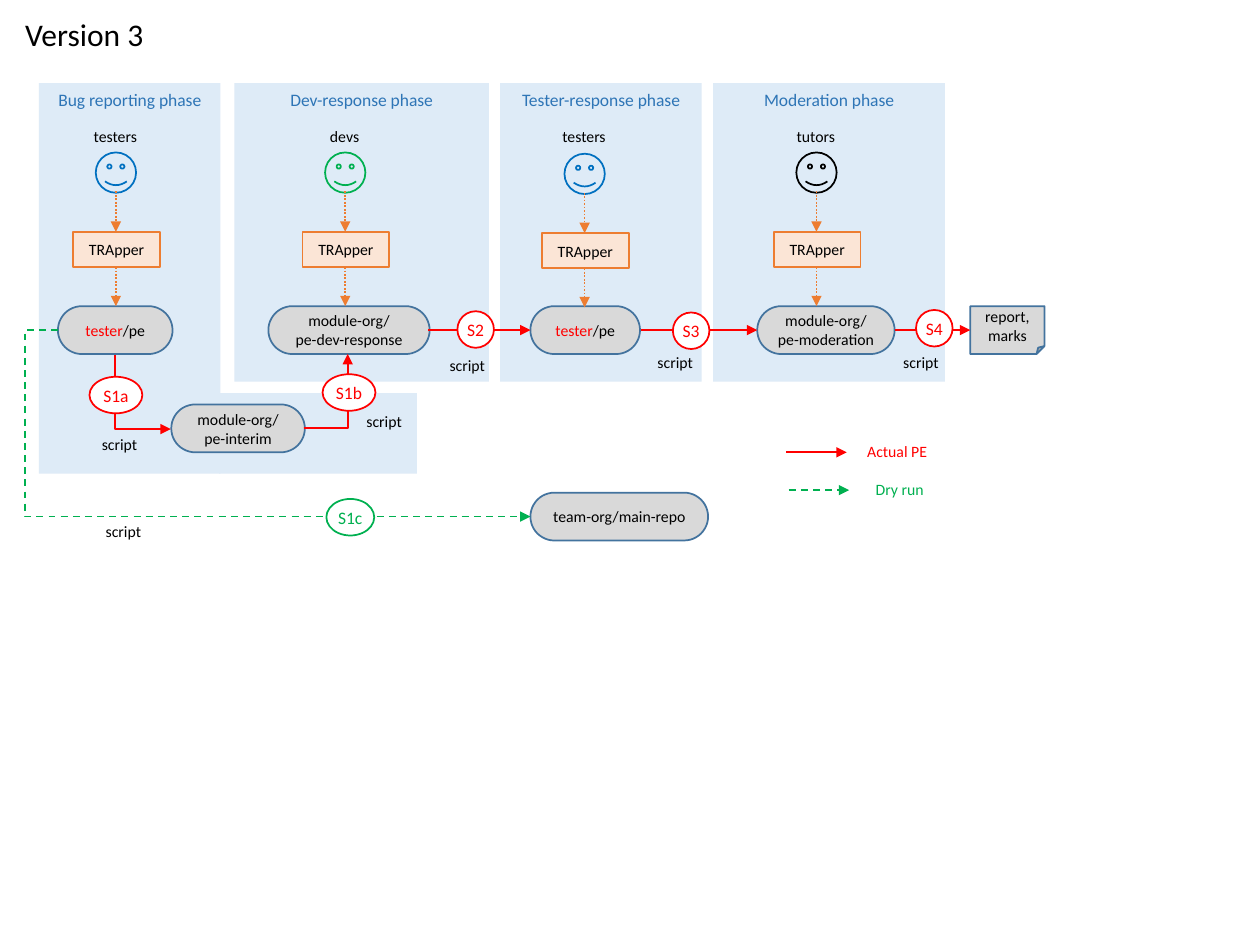
import pptx
import pptx.util
import pptx.dml.color
import pptx.enum.dml
import pptx.enum.shapes
import pptx.enum.text
import pptx.oxml.ns
from lxml import etree

Inches = pptx.util.Inches
RGBColor = pptx.dml.color.RGBColor
SHAPE = pptx.enum.shapes.MSO_SHAPE
CONNECTOR = pptx.enum.shapes.MSO_CONNECTOR
DASH = pptx.enum.dml.MSO_LINE
ALIGN = pptx.enum.text.PP_ALIGN
ANCHOR = pptx.enum.text.MSO_ANCHOR
qn = pptx.oxml.ns.qn

BLACK = RGBColor(0x00, 0x00, 0x00)
WHITE = RGBColor(0xFF, 0xFF, 0xFF)
RED = RGBColor(0xFF, 0x00, 0x00)
GREEN = RGBColor(0x00, 0xB0, 0x50)
BLUE = RGBColor(0x00, 0x70, 0xC0)
HEADING = RGBColor(0x2E, 0x75, 0xB6)
PANEL = RGBColor(0xDE, 0xEB, 0xF7)
GREY = RGBColor(0xD9, 0xD9, 0xD9)
STEEL = RGBColor(0x43, 0x73, 0x9E)
ORANGE = RGBColor(0xED, 0x7D, 0x31)
PEACH = RGBColor(0xFB, 0xE5, 0xD6)


class Diagram:
    font = "Calibri"
    size = 9
    line_width = pptx.util.Pt(1)

    def __init__(self, s):
        self.s = s

    def set_text(self, tf, text, color=BLACK, size=None, align=ALIGN.CENTER):
        tf.word_wrap = True
        p = tf.paragraphs[0]
        p.text = text
        p.alignment = align
        p.font.name = self.font
        p.font.size = pptx.util.Pt(size or self.size)
        p.font.color.rgb = color
        return p

    def title(self, text, x, y, w, h):
        sp = self.s.shapes.title
        sp.left, sp.top, sp.width, sp.height = map(Inches, (x, y, w, h))
        sp.text_frame.vertical_anchor = ANCHOR.TOP
        self.set_text(sp.text_frame, text, size=18, align=ALIGN.LEFT)

    def shape(self, kind, x, y, w, h, fill=None, line=None):
        sp = self.s.shapes.add_shape(kind, *map(Inches, (x, y, w, h)))
        sp.shadow.inherit = False
        if fill is None:
            sp.fill.background()
        else:
            sp.fill.solid()
            sp.fill.fore_color.rgb = fill
        if line is None:
            sp.line.fill.background()
        else:
            sp.line.color.rgb = line
            sp.line.width = self.line_width
        return sp

    def panel(self, x, y, w, h, text=""):
        sp = self.shape(SHAPE.RECTANGLE, x, y, w, h, PANEL)
        if text:
            sp.text_frame.vertical_anchor = ANCHOR.TOP
            self.set_text(sp.text_frame, text, HEADING, 10)

    def repo(self, x, y, w, text, lead=""):
        sp = self.shape(SHAPE.ROUNDED_RECTANGLE, x, y, w, 0.38, GREY, STEEL)
        sp.adjustments[0] = 0.5
        p = self.set_text(sp.text_frame, lead or text)
        if lead:
            p.runs[0].font.color.rgb = RED
            p.add_run().text = text

    def box(self, kind, x, y, w, h, text, fill, line):
        sp = self.shape(kind, x, y, w, h, fill, line)
        self.set_text(sp.text_frame, text)

    def step(self, x, y, w, text, color=RED):
        sp = self.shape(SHAPE.FLOWCHART_CONNECTOR, x, y, w, 0.29, WHITE, color)
        tf = sp.text_frame
        tf.margin_left = tf.margin_right = tf.margin_top = tf.margin_bottom = 0
        self.set_text(tf, text, color, 10)

    def label(self, x, y, w, text, color=BLACK, align=ALIGN.CENTER):
        tf = self.s.shapes.add_textbox(*map(Inches, (x, y, w, 0.25))).text_frame
        self.set_text(tf, text, color, align=align)
        tf.auto_size = pptx.enum.text.MSO_AUTO_SIZE.SHAPE_TO_FIT_TEXT

    def arrow(self, x1, y1, x2, y2, color=RED, dash=None, kind=CONNECTOR.STRAIGHT):
        cxn = self.s.shapes.add_connector(kind, *map(Inches, (x1, y1, x2, y2)))
        cxn.line.color.rgb = color
        cxn.line.width = self.line_width
        if dash:
            cxn.line.dash_style = dash
        etree.SubElement(cxn.get_or_add_ln(), qn("a:tailEnd"), type="triangle")
        etree.SubElement(cxn._element.spPr, qn("a:effectLst"))
        return cxn

    def corner(self, x1, y1, x2, y2, rotation=0):
        spPr = self.arrow(x1, y1, x2, y2, kind=CONNECTOR.ELBOW)._element.spPr
        spPr.find(qn("a:prstGeom")).set("prst", "bentConnector2")
        spPr.find(qn("a:xfrm")).set("rot", str(rotation * 60000))

    def detour(self, x1, y1, x2, y2, ratio, color, dash):
        cxn = self.arrow(x1, y1, x2, y2, color, dash, CONNECTOR.ELBOW)
        geom = cxn._element.spPr.find(qn("a:prstGeom"))
        guides = geom.find(qn("a:avLst"))
        if guides is None:
            guides = etree.SubElement(geom, qn("a:avLst"))
        etree.SubElement(guides, qn("a:gd"), name="adj1",
                         fmla=f"val {round(ratio * 100000)}")

    def user(self, cx, role, color, dy=0):
        self.label(cx - 0.38, 0.96, 0.75, role)
        self.shape(SHAPE.SMILEY_FACE, cx - 0.16, 1.21 + dy, 0.32, 0.32, None, color)
        self.box(SHAPE.RECTANGLE, cx - 0.34, 1.84 + dy, 0.69, 0.28,
                 "TRApper", PEACH, ORANGE)
        for top, bottom in ((1.52, 1.84), (2.12, 2.43)):
            self.arrow(cx, top + dy, cx, bottom + dy, ORANGE, DASH.ROUND_DOT)


def main():
    prs = pptx.Presentation()
    prs.slide_width, prs.slide_height = Inches(10), Inches(7.5)
    d = Diagram(prs.slides.add_slide(prs.slide_layouts[5]))
    d.title("Version 3", 0.1, 0.07, 1.51, 0.4)

    d.panel(1.74, 3.12, 1.57, 0.64)
    for x, w, h, text in (
        (5.66, 1.84, 2.37, "Moderation phase"),
        (3.97, 1.6, 2.37, "Tester-response phase"),
        (1.86, 2.02, 2.37, "Dev-response phase"),
        (0.31, 1.44, 3.1, "Bug reporting phase"),
    ):
        d.panel(x, 0.66, w, h, text)

    row = 2.43
    d.repo(0.46, row, 0.91, "/pe", lead="tester")
    d.repo(2.13, row, 1.28, "module-org/\vpe-dev-response")
    d.repo(4.21, row, 0.87, "/pe", lead="tester")
    d.repo(6.01, row, 1.09, "module-org/\vpe-moderation")
    d.repo(1.36, 3.21, 1.06, "module-org/\vpe-interim")
    d.repo(4.21, 3.91, 1.41, "team-org/main-repo")
    d.box(SHAPE.FOLDED_CORNER, 7.7, row, 0.59, 0.38, "report, marks", GREY, STEEL)

    d.user(0.92, "testers", BLUE)
    d.user(2.74, "devs", GREEN)
    d.user(4.64, "testers", BLUE, dy=0.01)
    d.user(6.48, "tutors", BLACK)

    for x1, x2 in ((3.4, 4.21), (5.09, 6.01), (7.1, 7.7)):
        d.arrow(x1, 2.62, x2, 2.62)
    d.corner(1.43, 2.89, 0.84, 3.33, rotation=270)
    d.corner(2.41, 3.4, 2.76, 2.81)
    d.detour(0.46, 2.62, 4.21, 4.1, -0.07, GREEN, DASH.DASH)

    for x, y in ((0.71, 3.4), (2.81, 3.22), (3.47, 2.77),
                 (5.12, 2.75), (7.07, 2.75), (0.74, 4.09)):
        d.label(x, y, 0.56, "script", align=ALIGN.LEFT)

    for x, y, text, color, dash in (
        (6.24, 3.59, "Actual PE", RED, None),
        (6.26, 3.89, "Dry run", GREEN, DASH.DASH),
    ):
        d.arrow(x, y, x + 0.48, y, color, dash)
        d.label(x + 0.48, y - 0.13, 0.8, text, color)

    d.step(2.59, 3.96, 0.38, "S1c", GREEN)
    d.step(0.71, 2.99, 0.42, "S1a")
    d.step(2.56, 2.97, 0.42, "S1b")
    d.step(3.63, 2.47, 0.29, "S2")
    d.step(5.34, 2.48, 0.29, "S3")
    d.step(7.27, 2.46, 0.29, "S4")
    prs.save("out.pptx")


if __name__ == "__main__":
    main()
